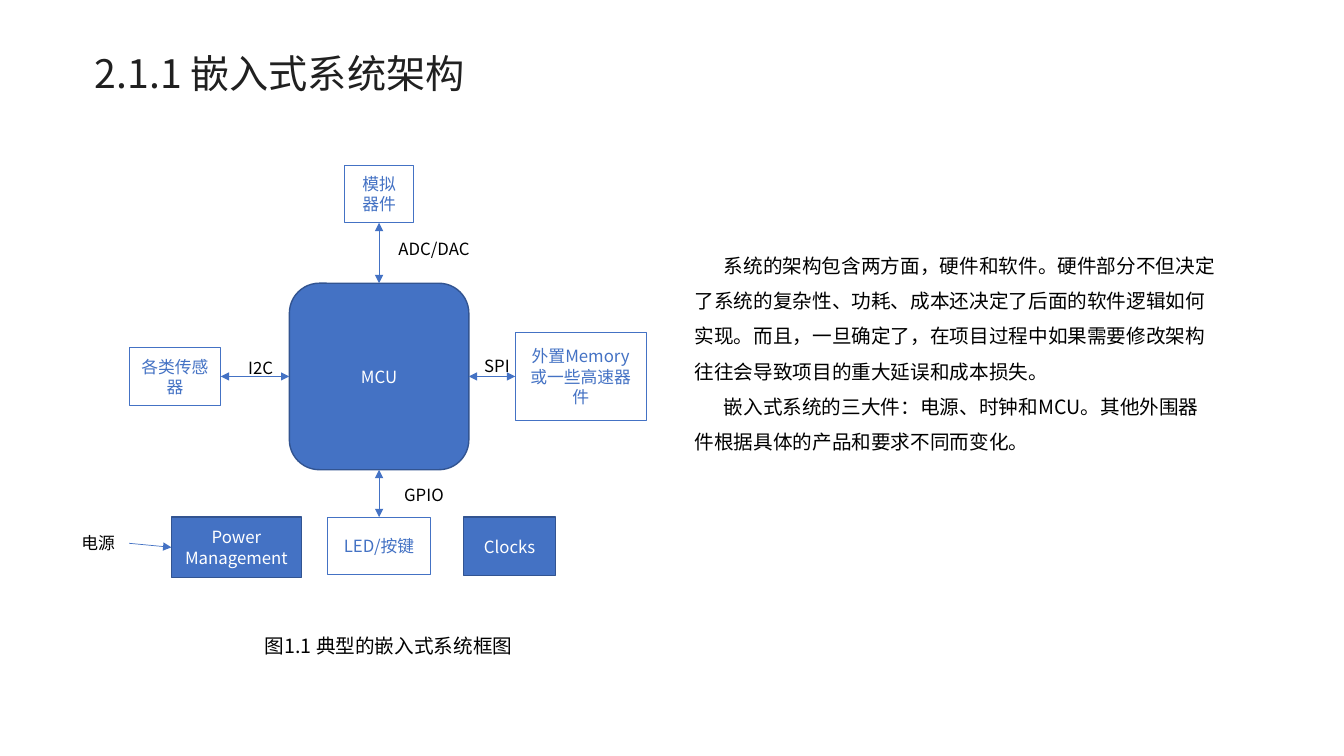
from dataclasses import dataclass

from lxml import etree
from pptx import Presentation
from pptx.dml.color import RGBColor
from pptx.enum.shapes import MSO_CONNECTOR, MSO_SHAPE
from pptx.enum.text import MSO_ANCHOR, MSO_AUTO_SIZE, PP_ALIGN
from pptx.oxml.ns import qn
from pptx.util import Inches, Pt

RECTANGLE = MSO_SHAPE.RECTANGLE
ROUNDED = MSO_SHAPE.ROUNDED_RECTANGLE
STRAIGHT = MSO_CONNECTOR.STRAIGHT
LEFT, CENTER = PP_ALIGN.LEFT, PP_ALIGN.CENTER
TOP, MIDDLE = MSO_ANCHOR.TOP, MSO_ANCHOR.MIDDLE
NO_AUTOFIT = MSO_AUTO_SIZE.NONE
SITE_TOP, SITE_LEFT, SITE_BOTTOM, SITE_RIGHT = range(4)


@dataclass(frozen=True)
class Theme:
    font: str = "Noto Sans CJK SC"
    blue: str = "4472C4"
    dark_blue: str = "325491"
    white: str = "FFFFFF"
    black: str = "000000"
    title_color: str = "202020"
    title_size: float = 28
    body_size: float = 14
    label_size: float = 12


def color(value):
    return RGBColor.from_string(value)


def write_text(frame, text, *, font, size, text_color, align=LEFT, anchor=TOP,
               line_spacing=None, space_before=0, first_indent=0):
    """Fill a text frame, one paragraph for each line of text."""
    frame.word_wrap = True
    frame.auto_size = NO_AUTOFIT
    frame.vertical_anchor = anchor
    for index, line in enumerate(text.split("\n")):
        paragraph = frame.add_paragraph() if index else frame.paragraphs[0]
        paragraph.alignment = align
        paragraph.line_spacing = line_spacing
        paragraph.space_before = Pt(space_before)
        if first_indent:
            properties = paragraph._p.get_or_add_pPr()
            properties.set("marL", "0")
            properties.set("indent", str(Inches(first_indent)))
        run = paragraph.add_run()
        run.text = line
        run.font.name = font
        run.font.size = Pt(size)
        run.font.color.rgb = color(text_color)
        east_asian = etree.SubElement(run._r.get_or_add_rPr(), qn("a:ea"))
        east_asian.set("typeface", font)


class SlideBuilder:
    def __init__(self, slide, theme):
        self.slide = slide
        self.theme = theme

    def title(self, text, left, top, width, height):
        shape = self.slide.shapes.title
        shape.left, shape.top = Inches(left), Inches(top)
        shape.width, shape.height = Inches(width), Inches(height)
        write_text(shape.text_frame, text, font=self.theme.font, size=self.theme.title_size,
                   text_color=self.theme.title_color, anchor=MIDDLE,
                   line_spacing=0.9, space_before=10)

    def text(self, text, left, top, width, height, size=None, **text_format):
        shape = self.slide.shapes.add_textbox(
            Inches(left), Inches(top), Inches(width), Inches(height))
        write_text(shape.text_frame, text, font=self.theme.font,
                   size=size or self.theme.label_size,
                   text_color=self.theme.black, **text_format)
        return shape

    def block(self, text, left, top, width, height, kind=RECTANGLE, filled=False):
        shape = self.slide.shapes.add_shape(
            kind, Inches(left), Inches(top), Inches(width), Inches(height))
        shape.shadow.inherit = False
        if filled:
            shape.fill.solid()
            shape.fill.fore_color.rgb = color(self.theme.blue)
        else:
            shape.fill.background()
        shape.line.color.rgb = color(self.theme.dark_blue if filled else self.theme.blue)
        shape.line.width = Pt(1 if filled else 0.75)
        write_text(shape.text_frame, text, font=self.theme.font, size=self.theme.label_size,
                   text_color=self.theme.white if filled else self.theme.blue,
                   align=CENTER, anchor=MIDDLE)
        return shape

    def arrow(self, start, start_site, end, end_site, both_ends=True):
        connector = self.slide.shapes.add_connector(STRAIGHT, 0, 0, 0, 0)
        connector.begin_connect(start, start_site)
        connector.end_connect(end, end_site)
        connector.line.color.rgb = color(self.theme.blue)
        connector.line.width = Pt(0.5)
        line = connector.line._get_or_add_ln()
        for tag in ("a:headEnd", "a:tailEnd") if both_ends else ("a:tailEnd",):
            etree.SubElement(line, qn(tag)).set("type", "triangle")
        etree.SubElement(connector._element.spPr, qn("a:effectLst"))


def main():
    presentation = Presentation()
    presentation.slide_width = Inches(13.33)
    presentation.slide_height = Inches(7.5)
    theme = Theme()
    slide = presentation.slides.add_slide(presentation.slide_layouts.get_by_name("Title Only"))
    builder = SlideBuilder(slide, theme)

    builder.title("2.1.1 嵌入式系统架构", 0.84, 0.38, 6.51, 0.75)
    builder.text(
        "系统的架构包含两方面，硬件和软件。硬件部分不但决定了系统的复杂性、功耗、成本还决定了"
        "后面的软件逻辑如何实现。而且，一旦确定了，在项目过程中如果需要修改架构往往会导致项目的"
        "重大延误和成本损失。\n"
        "嵌入式系统的三大件：电源、时钟和MCU。其他外围器件根据具体的产品和要求不同而变化。",
        6.79, 2.35, 5.38, 2.18, size=theme.body_size, line_spacing=1.5, first_indent=0.29)
    builder.text("图1.1 典型的嵌入式系统框图", 1.75, 6.24, 4.21, 0.34,
                 size=theme.body_size, align=CENTER)

    mcu = builder.block("MCU", 2.87, 2.81, 1.78, 1.85, kind=ROUNDED, filled=True)
    power = builder.block("Power Management", 1.7, 5.13, 1.29, 0.6, filled=True)
    builder.block("Clocks", 4.6, 5.13, 0.91, 0.58, filled=True)
    sensors = builder.block("各类传感器", 1.28, 3.45, 0.91, 0.57)
    analog = builder.block("模拟器件", 3.42, 1.64, 0.68, 0.57)
    memory = builder.block("外置Memory或一些高速器件", 5.11, 3.3, 1.3, 0.87)
    led_keys = builder.block("LED/按键", 3.25, 5.13, 1.02, 0.57)

    for device, device_site, mcu_site in (
        (sensors, SITE_RIGHT, SITE_LEFT),
        (analog, SITE_BOTTOM, SITE_TOP),
        (memory, SITE_LEFT, SITE_RIGHT),
        (led_keys, SITE_TOP, SITE_BOTTOM),
    ):
        builder.arrow(device, device_site, mcu, mcu_site)

    for bus, left, top, width in (
        ("I2C", 2.3, 3.5, 0.57),
        ("SPI", 4.65, 3.48, 0.56),
        ("GPIO", 3.76, 4.76, 0.89),
        ("ADC/DAC", 3.72, 2.32, 1.17),
    ):
        builder.text(bus, left, top, width, 0.3, align=CENTER)

    supply = builder.text("电源", 0.71, 5.24, 0.57, 0.3)
    builder.arrow(supply, SITE_RIGHT, power, SITE_LEFT, both_ends=False)

    presentation.save("out.pptx")


if __name__ == "__main__":
    main()
